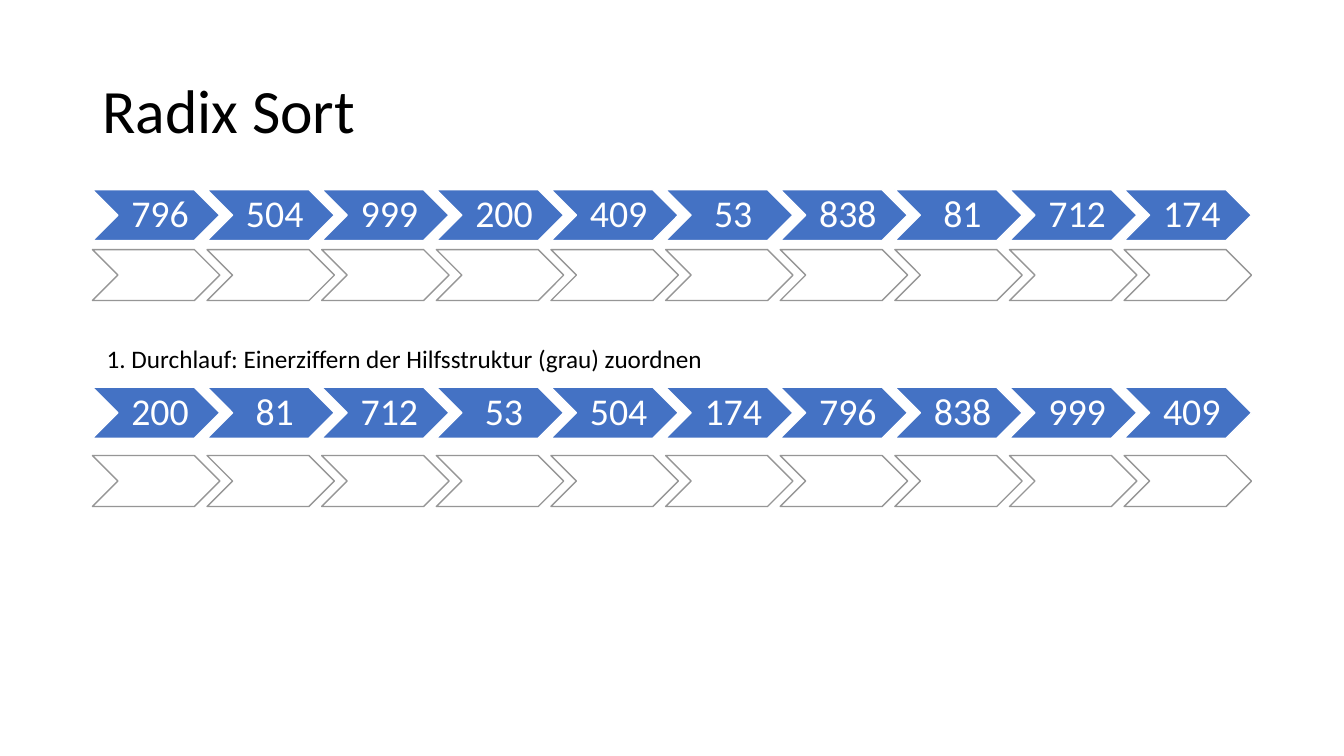
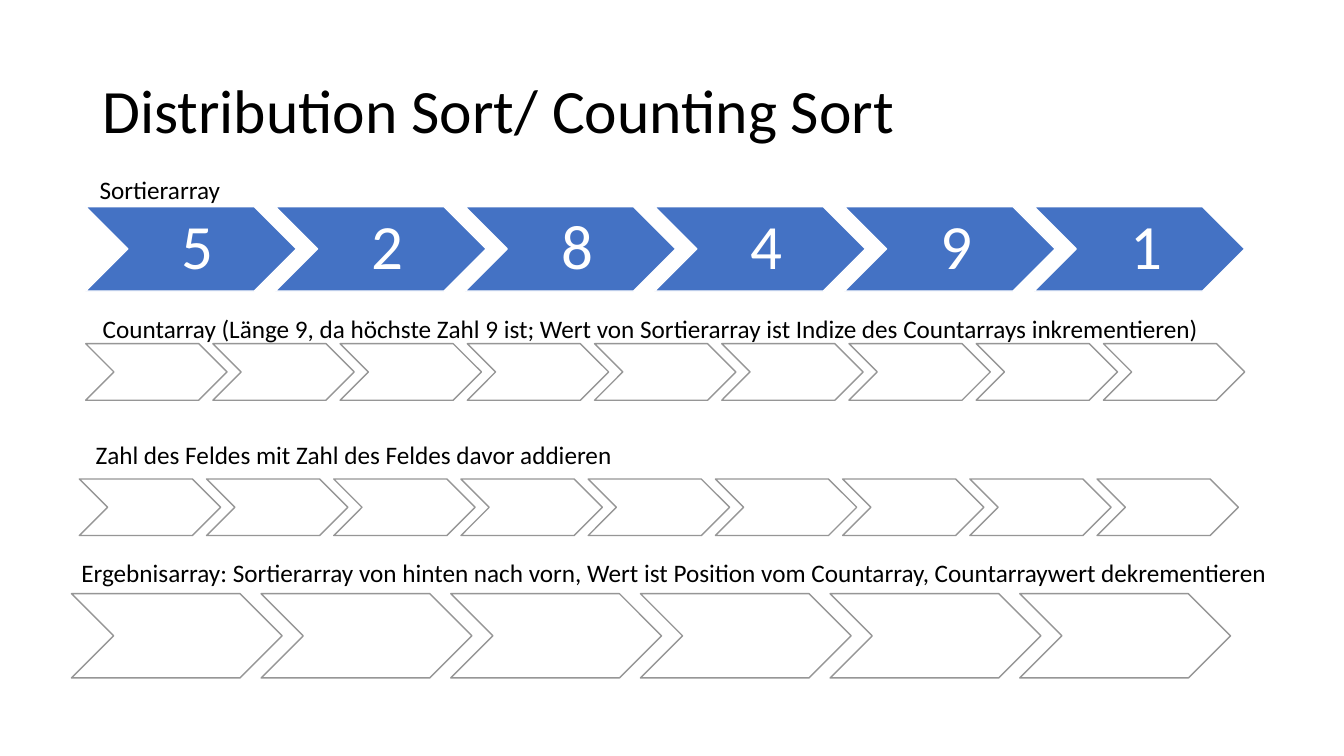
import pptx
import pptx.util
import pptx.dml.color
import pptx.enum.shapes
import pptx.enum.text

Cm, Pt = pptx.util.Cm, pptx.util.Pt
RGBColor = pptx.dml.color.RGBColor
TEXT = pptx.enum.text

# Content: rows are (left, top, values), notes are (left, top, width, wrap, text)
EMPTY = {n: [""] * n for n in (6, 9, 10)}
SLIDES = [
    {
        "title": "Radix Sort",
        "rows": [
            (2.33, 4.78, [796, 504, 999, 200, 409, 53, 838, 81, 712, 174]),
            (2.33, 6.29, EMPTY[10]),
            (2.33, 9.76, [200, 81, 712, 53, 504, 174, 796, 838, 999, 409]),
            (2.33, 11.48, EMPTY[10]),
        ],
        "notes": [
            (2.44, 8.53, 29.11, True,
             "1. Durchlauf: Einerziffern der Hilfsstruktur (grau) zuordnen"),
        ],
    },
    {
        "title": "Distribution Sort/ Counting Sort",
        "rows": [
            (2.16, 5.21, [5, 2, 8, 4, 9, 1]),
            (2.16, 8.66, EMPTY[9]),
            (2, 12.07, EMPTY[9]),
            (1.8, 14.96, EMPTY[6]),
        ],
        "notes": [
            (2.26, 4.27, 3.58, False, "Sortierarray"),
            (2.16, 10.95, 13.69, False,
             "Zahl des Feldes mit Zahl des Feldes davor addieren"),
            (2.34, 7.77, 28.63, False,
             "Countarray (Länge 9, da höchste Zahl 9 ist; Wert von Sortierarray "
             "ist Indize des Countarrays inkrementieren)"),
            (1.8, 13.92, 30.73, False,
             "Ergebnisarray: Sortierarray von hinten nach vorn, Wert ist Position "
             "vom Countarray, Countarraywert dekrementieren"),
        ],
    },
]

# Shared style
FONT = "Calibri"
BLACK = RGBColor(0, 0, 0)
WHITE = RGBColor(255, 255, 255)
BLUE = RGBColor(0x44, 0x72, 0xC4)
GREY = RGBColor(0x96, 0x96, 0x96)
SPAN = 29.21    # width of a whole row
STEP = 0.9      # pitch of the chevrons, as a share of their width
RATIO = 0.4     # height of a chevron, as a share of its width


def write(par, text, size, color):
    run = par.add_run()
    run.text = str(text)
    run.font.name = FONT
    run.font.size = Pt(size)
    run.font.color.rgb = color


def add_text(slide, box, text, size, wrap=True):
    frame = slide.shapes.add_textbox(*map(Cm, box)).text_frame
    frame.word_wrap = wrap
    write(frame.paragraphs[0], text, size, BLACK)
    return frame


def add_title(slide, text):
    frame = add_text(slide, (2.33, 1.01, 29.21, 3.68), text, 44)
    frame.vertical_anchor = TEXT.MSO_ANCHOR.MIDDLE
    frame.paragraphs[0].line_spacing = 0.9


def add_value(cell, value, size):
    frame = cell.text_frame
    frame.vertical_anchor = TEXT.MSO_ANCHOR.MIDDLE
    frame.margin_left = Pt(0.32 * size)
    frame.margin_right = frame.margin_top = frame.margin_bottom = Pt(0.11 * size)
    par = frame.paragraphs[0]
    par.alignment = TEXT.PP_ALIGN.CENTER
    par.line_spacing = 0.9
    write(par, value, size, WHITE)


def add_row(slide, left, top, values):
    wide = SPAN / (1 + STEP * (len(values) - 1))
    group = slide.shapes.add_group_shape()
    for i, value in enumerate(values):
        cell = group.shapes.add_shape(
            pptx.enum.shapes.MSO_SHAPE.CHEVRON,
            Cm(left + i * STEP * wide), Cm(top), Cm(wide), Cm(RATIO * wide))
        full = value != ""
        cell.shadow.inherit = False
        cell.fill.solid()
        cell.fill.fore_color.rgb = BLUE if full else WHITE
        cell.line.color.rgb = WHITE if full else GREY
        cell.line.width = Pt(1)
        if full:
            add_value(cell, value, round(8.46 * wide))


# Build the deck
deck = pptx.Presentation()
deck.slide_width, deck.slide_height = Cm(33.87), Cm(19.05)
for page in SLIDES:
    slide = deck.slides.add_slide(deck.slide_layouts[6])
    add_title(slide, page["title"])
    for row in page["rows"]:
        add_row(slide, *row)
    for left, top, wide, wrap, text in page["notes"]:
        frame = add_text(slide, (left, top, wide, 1.03), text, 18, wrap)
        frame.auto_size = TEXT.MSO_AUTO_SIZE.SHAPE_TO_FIT_TEXT
deck.save("out.pptx")
